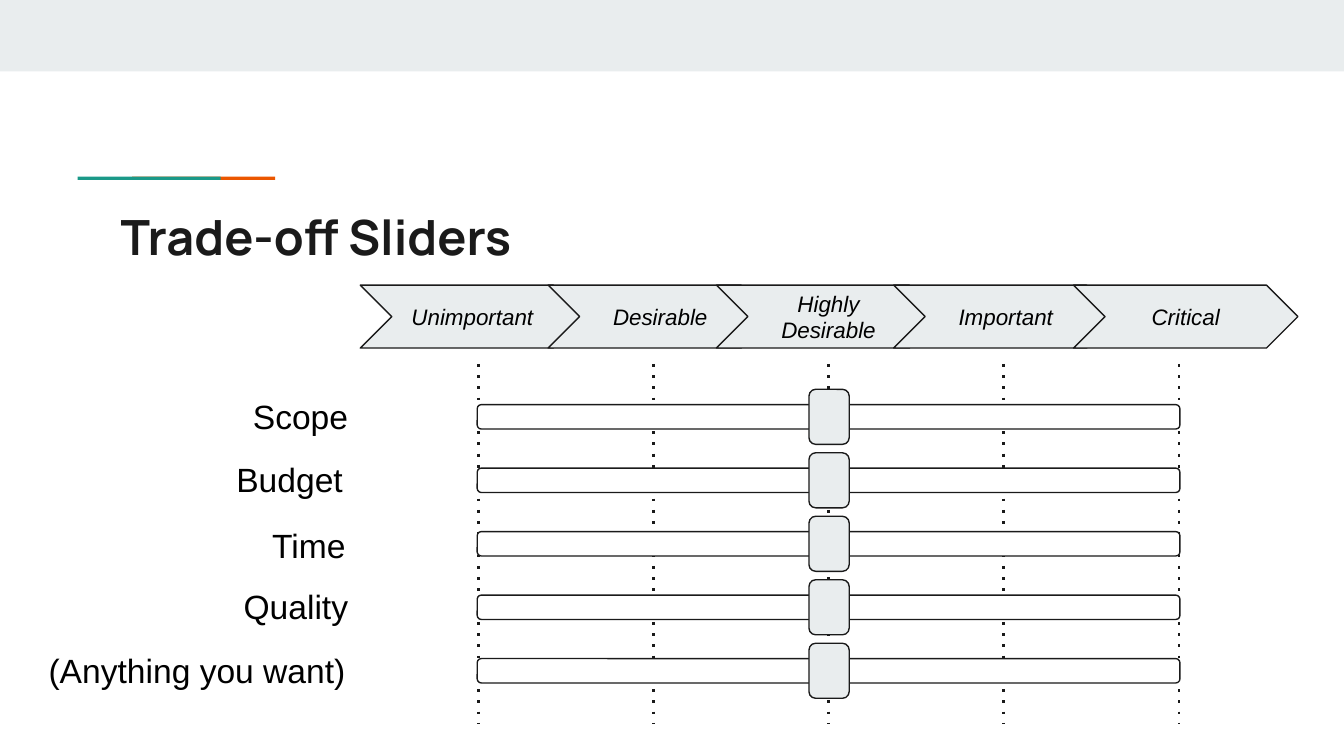
from lxml import etree
from pptx import Presentation
from pptx import util as u
from pptx.dml.color import RGBColor
from pptx.enum import dml, shapes, text
from pptx.oxml.ns import qn

COLORS = {
    "ink": "1A1A1A",
    "black": "000000",
    "white": "FFFFFF",
    "mist": "E9EDEE",
    "teal": "1A9988",
    "orange": "EB5600",
}
IMPORTANCE = [
    ("Unimportant", 6.81),
    ("Desirable", 10.36),
    ("Highly Desirable", 13.54),
    ("Important", 16.89),
    ("Critical", 20.29),
]
FACTORS = [
    ("Scope", 6.83, 7.24),
    ("Budget", 6.73, 8.43),
    ("Time", 6.78, 9.68),
    ("Quality", 6.83, 10.82),
    ("(Anything you want)", 6.78, 12.04),
]
SCALE_LEFT, SCALE_STEP = 9.04, 3.31
BAR_TOP, KNOB_TOP, ROW_STEP = 7.65, 7.36, 1.2
LABEL_WIDTH = 6.3


def color(name):
    return RGBColor.from_string(COLORS[name])


class SlideBuilder:
    body_font = "Arial"
    title_font = "Manrope"
    inset = u.Cm(0.25)

    def __init__(self, slide):
        self.slide = slide

    def box(self, kind, left, top, width, height, fill, outlined=True):
        shape = self.slide.shapes.add_shape(
            kind, u.Cm(left), u.Cm(top), u.Cm(width), u.Cm(height))
        shape.shadow.inherit = False
        shape.fill.solid()
        shape.fill.fore_color.rgb = color(fill)
        if outlined:
            shape.line.color.rgb = color("ink")
            shape.line.width = u.Pt(0.75)
        else:
            shape.line.fill.background()
        return shape

    def band(self, left, top, width, height, fill):
        return self.box(shapes.MSO_SHAPE.RECTANGLE, left, top, width, height, fill, False)

    def rounded(self, left, top, width, height, fill):
        return self.box(shapes.MSO_SHAPE.ROUNDED_RECTANGLE, left, top, width, height, fill)

    def chevron(self, words, left, top, width, height):
        shape = self.box(shapes.MSO_SHAPE.CHEVRON, left, top, width, height, "mist")
        self.set_words(shape, words, 12, text.PP_ALIGN.CENTER, italic=True)
        shape.text_frame.vertical_anchor = text.MSO_ANCHOR.MIDDLE

    def label(self, words, left, top, width, height, size, align, **style):
        shape = self.slide.shapes.add_textbox(
            u.Cm(left), u.Cm(top), u.Cm(width), u.Cm(height))
        self.set_words(shape, words, size, align, **style)

    def set_words(self, shape, words, size, align, font=body_font, ink="black",
                  bold=False, italic=False):
        frame = shape.text_frame
        frame.word_wrap = True
        frame.margin_left = frame.margin_right = self.inset
        frame.margin_top = frame.margin_bottom = self.inset
        paragraph = frame.paragraphs[0]
        paragraph.text = words
        paragraph.alignment = align
        paragraph.font.name = font
        paragraph.font.size = u.Pt(size)
        paragraph.font.bold = bold
        paragraph.font.italic = italic
        paragraph.font.color.rgb = color(ink)

    def dotted_line(self, left, top, bottom):
        connector = self.slide.shapes.add_connector(
            shapes.MSO_CONNECTOR.STRAIGHT,
            u.Cm(left), u.Cm(top), u.Cm(left), u.Cm(bottom))
        connector.line.color.rgb = color("ink")
        connector.line.width = u.Pt(1.5)
        connector.line.dash_style = dml.MSO_LINE.ROUND_DOT
        properties = connector._element.spPr
        properties.find(qn("a:ln")).find(qn("a:prstDash")).set("val", "dot")
        etree.SubElement(properties, qn("a:effectLst"))


def main():
    presentation = Presentation()
    presentation.slide_width = u.Cm(25.4)
    presentation.slide_height = u.Cm(14.29)
    slide = presentation.slides.add_slide(presentation.slide_layouts[6])
    builder = SlideBuilder(slide)

    builder.band(0, 0, 25.4, 1.35, "mist")
    builder.band(2.5, 3.34, 2.7, 0.06, "orange")
    builder.band(1.47, 3.34, 2.7, 0.06, "teal")
    builder.label("Trade-off Sliders", 2.03, 3.66, 21.36, 1.5, 26, text.PP_ALIGN.LEFT,
                  font=builder.title_font, ink="ink", bold=True)

    for column in range(len(IMPORTANCE)):
        builder.dotted_line(SCALE_LEFT + column * SCALE_STEP, 6.88, 13.69)
    for words, left in IMPORTANCE:
        builder.chevron(words, left, 5.39, 4.24, 1.19)

    for row, (words, right, top) in enumerate(FACTORS):
        builder.rounded(9.02, BAR_TOP + row * ROW_STEP, 13.28, 0.46, "white")
        builder.label(words, right - LABEL_WIDTH, top, LABEL_WIDTH, 1.5, 18,
                      text.PP_ALIGN.RIGHT)
        builder.rounded(15.29, KNOB_TOP + row * ROW_STEP, 0.76, 1.04, "mist")

    presentation.save("out.pptx")


if __name__ == "__main__":
    main()
